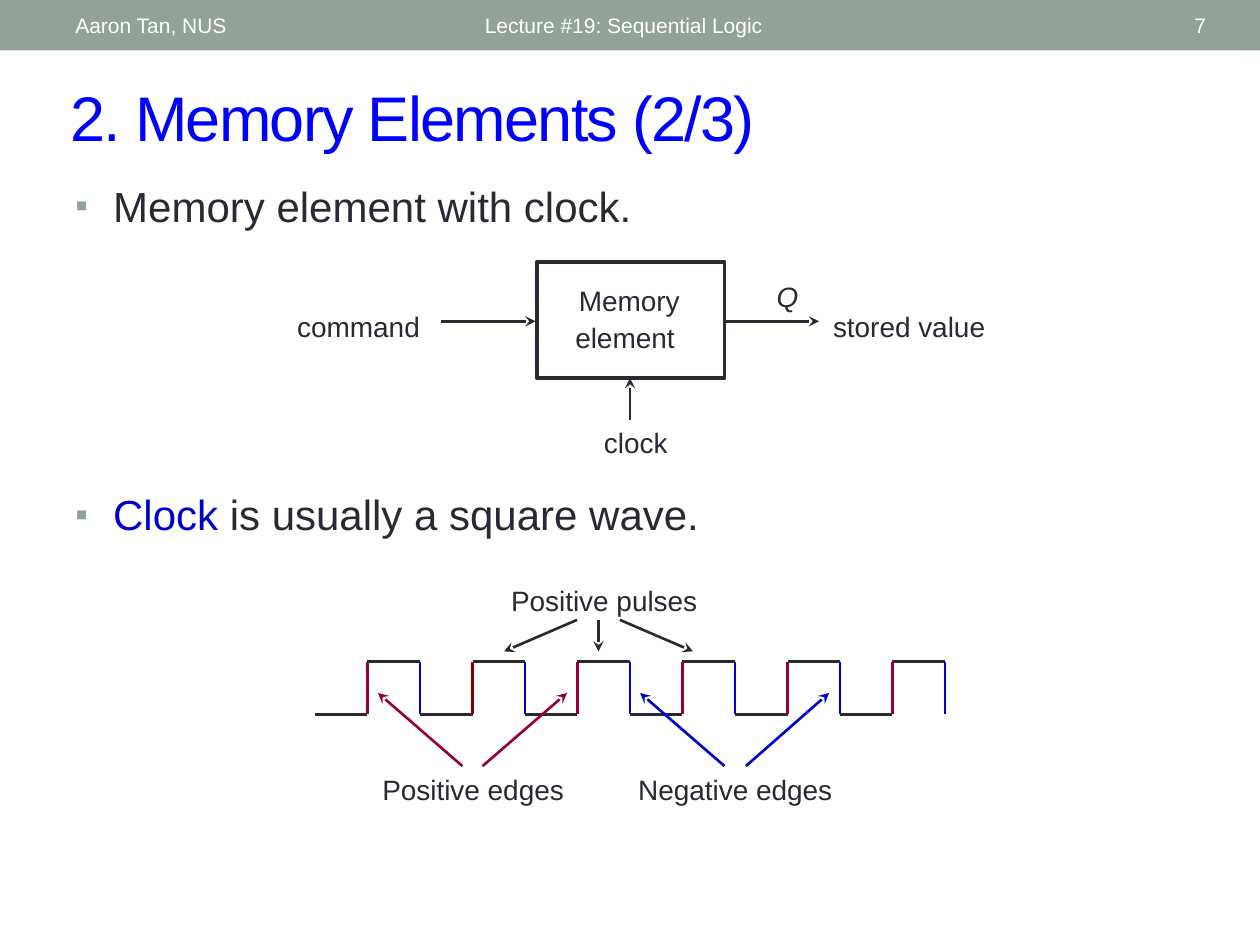
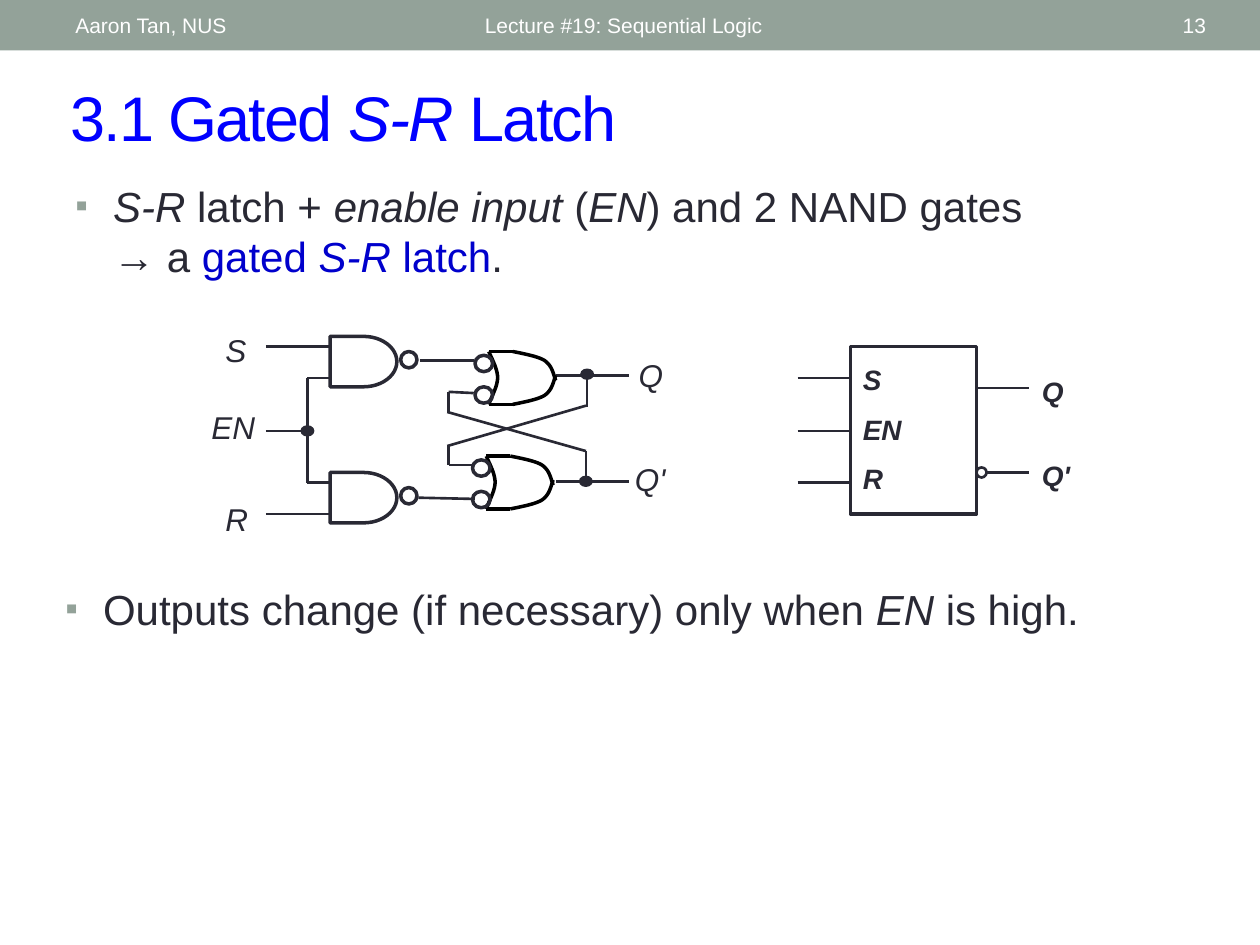
import dataclasses

import lxml.etree
import pptx
import pptx.dml.color
import pptx.enum.shapes
import pptx.enum.text
import pptx.oxml.ns
import pptx.slide
import pptx.util

Inches = pptx.util.Inches
Pt = pptx.util.Pt
RGBColor = pptx.dml.color.RGBColor
Shape = pptx.enum.shapes.MSO_SHAPE
Align = pptx.enum.text.PP_ALIGN
Anchor = pptx.enum.text.MSO_ANCHOR
qn = pptx.oxml.ns.qn

FONT = "Arial"
INK = RGBColor(0x29, 0x29, 0x34)
SAGE = RGBColor(0x93, 0xA2, 0x99)
WHITE = RGBColor(0xFF, 0xFF, 0xFF)
BLACK = RGBColor(0x00, 0x00, 0x00)
TITLE_BLUE = RGBColor(0x00, 0x00, 0xFF)
BLUE = RGBColor(0x00, 0x00, 0xCC)
CRIMSON = RGBColor(0x99, 0x00, 0x33)
MAROON = RGBColor(0x80, 0x00, 0x00)

ITALIC = {"italic": True}
WIDE_SPACE = (" ", {"size": 18})


@dataclasses.dataclass
class Region:
    """Part of a slide whose contents are placed from its top left corner, in inches."""

    slide: pptx.slide.Slide
    left: float = 0
    top: float = 0

    def point(self, x, y):
        """Return slide coordinates of a point in the region."""
        return Inches(self.left + x), Inches(self.top + y)

    def frame(self, box):
        """Return slide position and size of a box in the region."""
        x, y, width, height = box
        return *self.point(x, y), Inches(width), Inches(height)


def add_bullet(paragraph):
    """Give a paragraph a hanging square bullet."""
    properties = paragraph._p.get_or_add_pPr()
    properties.set("marL", str(Inches(0.3)))
    properties.set("indent", str(-Inches(0.3)))
    color = lxml.etree.SubElement(properties, qn("a:buClr"))
    lxml.etree.SubElement(color, qn("a:srgbClr"), val=str(SAGE))
    lxml.etree.SubElement(properties, qn("a:buSzPct"), val="85000")
    lxml.etree.SubElement(properties, qn("a:buFont"), typeface=FONT)
    lxml.etree.SubElement(properties, qn("a:buChar"), char="▪")


def add_text(region, box, *paragraphs, size=16, color=INK, bold=False, italic=False,
             align=Align.LEFT, anchor=Anchor.TOP, gap=0, spacing=None, bullet=False):
    """Add a text box; a paragraph is a string or a list of strings and (text, format) pairs."""
    frame = region.slide.shapes.add_textbox(*region.frame(box)).text_frame
    frame.word_wrap = True
    frame.vertical_anchor = anchor
    for index, content in enumerate(paragraphs):
        paragraph = frame.add_paragraph() if index else frame.paragraphs[0]
        if bullet:
            add_bullet(paragraph)
        paragraph.alignment = align
        if index:
            paragraph.space_before = Pt(gap)
        for piece in [content] if isinstance(content, str) else content:
            text, changes = (piece, {}) if isinstance(piece, str) else piece
            run = paragraph.add_run()
            run.text = text
            run.font.name = FONT
            run.font.size = Pt(changes.get("size", size))
            run.font.bold = bold
            run.font.italic = changes.get("italic", italic)
            run.font.color.rgb = changes.get("color", color)
            if spacing:
                run._r.get_or_add_rPr().set("spc", str(spacing * 100))


def style_shape(shape, fill=None, line=INK, weight=2):
    """Set fill and outline of a shape and drop its shadow."""
    shape.shadow.inherit = False
    if fill is None:
        shape.fill.background()
    else:
        shape.fill.solid()
        shape.fill.fore_color.rgb = fill
    if line is None:
        shape.line.fill.background()
    else:
        shape.line.color.rgb = line
        shape.line.width = Pt(weight)


def add_shape(region, kind, box, **style):
    """Add a styled preset shape."""
    style_shape(region.slide.shapes.add_shape(kind, *region.frame(box)), **style)


def add_line(region, x1, y1, x2, y2, color=INK, weight=1.5, arrow=False):
    """Add a straight line, with an arrowhead at its end if asked."""
    connector = region.slide.shapes.add_connector(
        pptx.enum.shapes.MSO_CONNECTOR.STRAIGHT, *region.point(x1, y1), *region.point(x2, y2))
    connector.line.color.rgb = color
    connector.line.width = Pt(weight)
    properties = connector.element.spPr
    if arrow:
        lxml.etree.SubElement(properties.find(qn("a:ln")), qn("a:tailEnd"), type="stealth")
    lxml.etree.SubElement(properties, qn("a:effectLst"))


def add_curve(region, start, *segments, steps=10):
    """Draw Bezier segments, each two controls and an end, as a fine outline."""
    points = []
    origin = start
    for first, second, end in segments:
        for step in range(1, steps + 1):
            t = step / steps
            weights = (1 - t) ** 3, 3 * t * (1 - t) ** 2, 3 * t * t * (1 - t), t ** 3
            corners = origin, first, second, end
            points.append(region.point(*(
                sum(weight * corner[axis] for weight, corner in zip(weights, corners))
                for axis in (0, 1))))
        origin = end
    builder = region.slide.shapes.build_freeform(*region.point(*start))
    builder.add_line_segments(points, close=False)
    style_shape(builder.convert_to_shape(), line=BLACK)


def add_page(presentation, title, number):
    """Add a slide with the header band and title; return its full region."""
    page = Region(presentation.slides.add_slide(presentation.slide_layouts[6]))
    add_shape(page, Shape.RECTANGLE, (0, 0, 10, 0.4), fill=SAGE, line=None)
    add_text(page, (0.46, 0.57, 9.4, 0.7), title, size=36, color=TITLE_BLUE,
             anchor=Anchor.MIDDLE, spacing=-1)
    for left, width, text, align in (
            (3.75, 4.5, "Lecture #19: Sequential Logic", Align.LEFT),
            (8.72, 0.95, str(number), Align.RIGHT),
            (0.5, 3.17, "Aaron Tan, NUS", Align.LEFT)):
        add_text(page, (left, 0.02, width, 0.36), text, size=12, color=WHITE,
                 align=align, anchor=Anchor.MIDDLE)
    return page


def add_point(page, box, content):
    """Add a bulleted statement."""
    add_text(page, box, content, size=24, bullet=True)


def draw_memory_element(region):
    """Draw the memory element with its command, clock and output."""
    add_shape(region, Shape.RECTANGLE, (2.09, 0, 1.49, 0.92))
    for box, content, italic in (
            ((0, 0.3, 1.42, 0.4), ["command", WIDE_SPACE], False),
            ((2.16, 0.12, 1.33, 0.67), ["Memory element", WIDE_SPACE], False),
            ((4.33, 0.3, 1.5, 0.4), ["stored value", WIDE_SPACE], False),
            ((3.83, 0.09, 0.5, 0.37), "Q", True),
            ((2.5, 1.25, 0.75, 0.37), "clock ", False)):
        add_text(region, box, content, italic=italic, align=Align.CENTER)
    for ends in ((1.33, 0.47, 2.08, 0.47), (3.58, 0.47, 4.33, 0.47), (2.83, 1.25, 2.83, 0.92)):
        add_line(region, *ends, arrow=True)


def draw_clock_wave(region):
    """Draw the square wave with its pulses and edges labelled."""
    high, low, half = 0.67, 1.09, 5 / 12
    rising_colors = [CRIMSON, MAROON] + [CRIMSON] * 4
    for cycle, rising_color in enumerate(rising_colors):
        start = 2 * cycle * half
        rise, fall = start + half, start + 2 * half
        add_line(region, start, low, rise, low)
        add_line(region, rise, high, fall, high)
        add_line(region, rise, high, rise, low, color=rising_color)
        add_line(region, fall, high, fall, low, color=BLUE)
    for left, top, width, label in (
            (1.42, 0, 1.75, "Positive pulses"),
            (0.42, 1.5, 1.67, "Positive edges"),
            (2.42, 1.5, 1.83, "Negative edges")):
        add_text(region, (left, top, width, 0.37), label, align=Align.CENTER)
    for color, tail_y, head_y, spans in (
            (INK, 0.34, 0.59, ((2.08, 1.5), (2.25, 2.25), (2.42, 3))),
            (CRIMSON, 1.5, 0.92, ((1.17, 0.5), (1.33, 2))),
            (BLUE, 1.5, 0.92, ((3.25, 2.58), (3.42, 4.08)))):
        for tail_x, head_x in spans:
            add_line(region, tail_x, tail_y, head_x, head_y, color=color, arrow=True)


def draw_and_gate(region):
    """Draw a NAND gate with its output bubble."""
    add_shape(region, Shape.FLOWCHART_DELAY, (0, 0, 0.53, 0.4))
    add_shape(region, Shape.OVAL, (0.56, 0.12, 0.13, 0.13))


def draw_or_gate(region):
    """Draw a NAND gate as an OR gate with bubbles on its inputs."""
    height = 0.42
    add_curve(region, (0, 0), ((0.03, 0.07), (0.07, 0.14), (0.07, 0.21)),
              ((0.07, 0.28), (0.01, 0.38), (0, height)))
    nose = (0.19, 0), (0.29, 0.02), (0.39, 0.04), (0.44, 0.07), (0.5, 0.11), (0.51, 0.17), (0.53, 0.23)
    for edge, side in ((0, nose), (height, [(x, height - y) for x, y in nose])):
        add_line(region, 0, edge, 0.19, edge, color=BLACK, weight=2)
        add_curve(region, side[0], side[1:4], side[4:])
    for top in (0.03, 0.28):
        add_shape(region, Shape.OVAL, (-0.11, top, 0.14, 0.13))


def draw_latch_circuit(region):
    """Draw the gated latch built from four gates."""
    feedback = ((1.98, 0.53, 2.18, 0.54), (1.98, 1.11, 2.18, 1.11), (1.98, 0.53, 1.98, 0.7),
                (1.98, 0.95, 1.98, 1.11), (3.07, 1, 3.07, 1.26), (3.08, 0.41, 3.08, 0.65),
                (1.97, 0.69, 3.07, 1), (3.07, 0.64, 1.97, 0.96))
    links = ((1.75, 0.28, 2.18, 0.28), (1.74, 1.37, 2.19, 1.38),
             (2.83, 0.4, 3.41, 0.4), (2.83, 1.24, 3.41, 1.24))
    inputs = ((0.53, 0.17, 1.05, 0.17), (0.53, 1.5, 1.05, 1.5), (0.86, 0.42, 1.05, 0.42),
              (0.86, 1.25, 1.05, 1.25), (0.86, 0.42, 0.86, 1.25), (0.53, 0.84, 0.89, 0.84))
    for wire in feedback + links + inputs:
        add_line(region, *wire)
    for left, top in ((3.02, 1.2), (3.03, 0.35), (0.81, 0.8)):
        add_shape(region, Shape.OVAL, (left, top, 0.1, 0.08), fill=INK, weight=0.75)
    for draw_gate, left, top in ((draw_or_gate, 2.3, 0.21), (draw_or_gate, 2.28, 1.04),
                                 (draw_and_gate, 1.04, 0.09), (draw_and_gate, 1.04, 1.17)):
        draw_gate(Region(region.slide, region.left + left, region.top + top))
    for left, top, width, label in ((0.11, 0, 0.48, "S"), (0, 0.61, 0.6, "EN"),
                                    (0.11, 1.34, 0.44, "R"), (3.39, 0.2, 0.46, "Q"),
                                    (3.36, 1.02, 0.46, "Q'")):
        add_text(region, (left, top, width, 0.4), label, size=18, italic=True)


def draw_latch_symbol(region):
    """Draw the block symbol of the gated latch."""
    add_shape(region, Shape.RECTANGLE, (0.42, 0, 1, 1.33))
    for y in (0.25, 0.67, 1.08):
        add_line(region, 0, y, 0.42, y)
    add_shape(region, Shape.OVAL, (1.42, 0.96, 0.08, 0.08), weight=1.5)
    add_line(region, 1.42, 0.33, 1.84, 0.33)
    add_line(region, 1.5, 1, 1.84, 1)
    add_text(region, (0.42, 0.08, 0.58, 1.17), "S", "EN", "R", bold=True, italic=True, gap=9)
    for top, label in ((0.17, "Q"), (0.84, "Q'")):
        add_text(region, (1.84, top, 0.5, 0.37), label, bold=True, italic=True)


def build_memory_slide(presentation):
    """Build the slide on clocked memory elements."""
    page = add_page(presentation, "2. Memory Elements (2/3)", 7)
    add_point(page, (0.5, 1.38, 9, 1.12), "Memory element with clock.")
    add_point(page, (0.5, 3.83, 9, 0.67),
              [("Clock", {"color": BLUE}), " is usually a square wave."])
    draw_memory_element(Region(page.slide, 2.17, 2.08))
    draw_clock_wave(Region(page.slide, 2.5, 4.58))


def build_latch_slide(presentation):
    """Build the slide on the gated latch."""
    page = add_page(presentation, ["3.1 Gated ", ("S-R", ITALIC), " Latch"], 13)
    add_point(page, (0.5, 1.38, 8.03, 1.04), [
        ("S-R", ITALIC), " latch + ", ("enable input", ITALIC), " (", ("EN", ITALIC),
        ") and 2 NAND gates → a ", ("gated ", {"color": BLUE}),
        ("S-R", {"color": BLUE, "italic": True}), (" latch", {"color": BLUE}), "."])
    draw_latch_circuit(Region(page.slide, 1.58, 2.58))
    draw_latch_symbol(Region(page.slide, 6.33, 2.75))
    add_point(page, (0.42, 4.58, 9, 1.04), [
        "Outputs change (if necessary) only when ", ("EN", ITALIC), " is high."])


def main():
    """Build and save the presentation."""
    presentation = pptx.Presentation()
    presentation.slide_width = Inches(10)
    presentation.slide_height = Inches(7.5)
    build_memory_slide(presentation)
    build_latch_slide(presentation)
    presentation.save("out.pptx")


if __name__ == "__main__":
    main()
